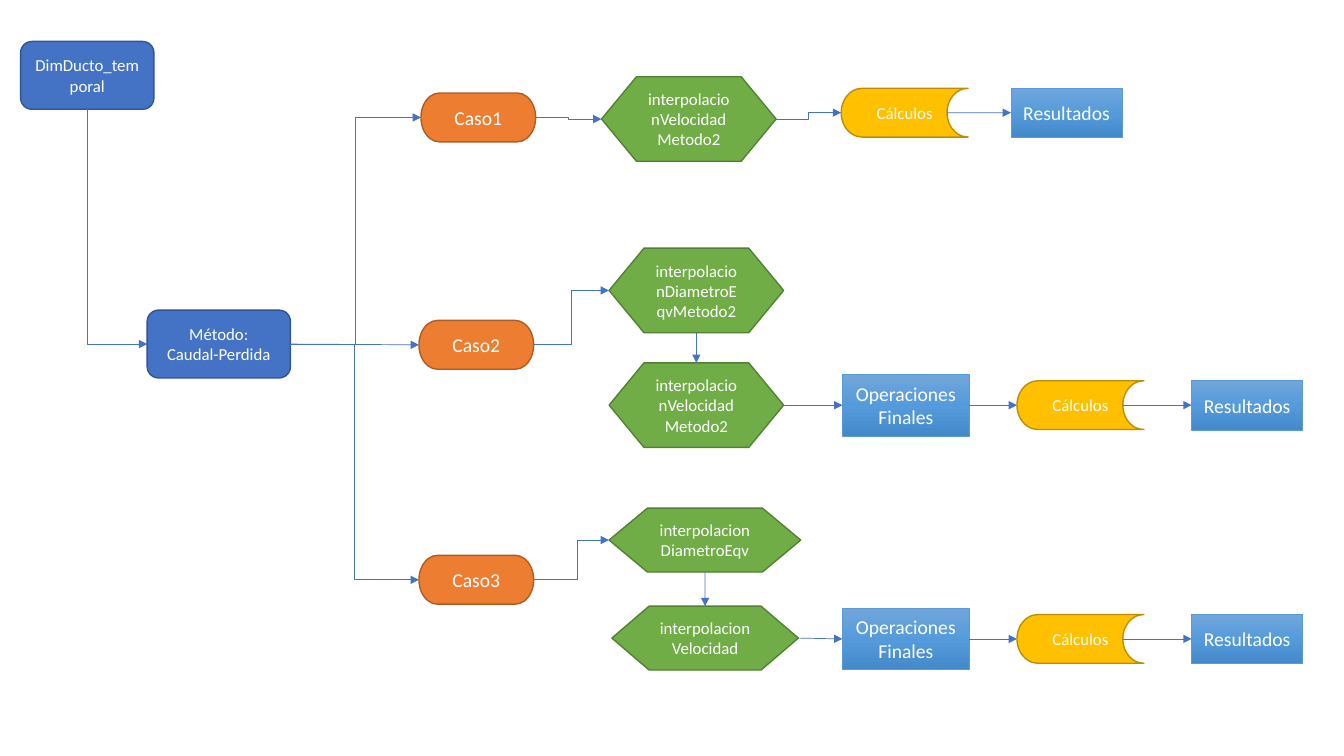
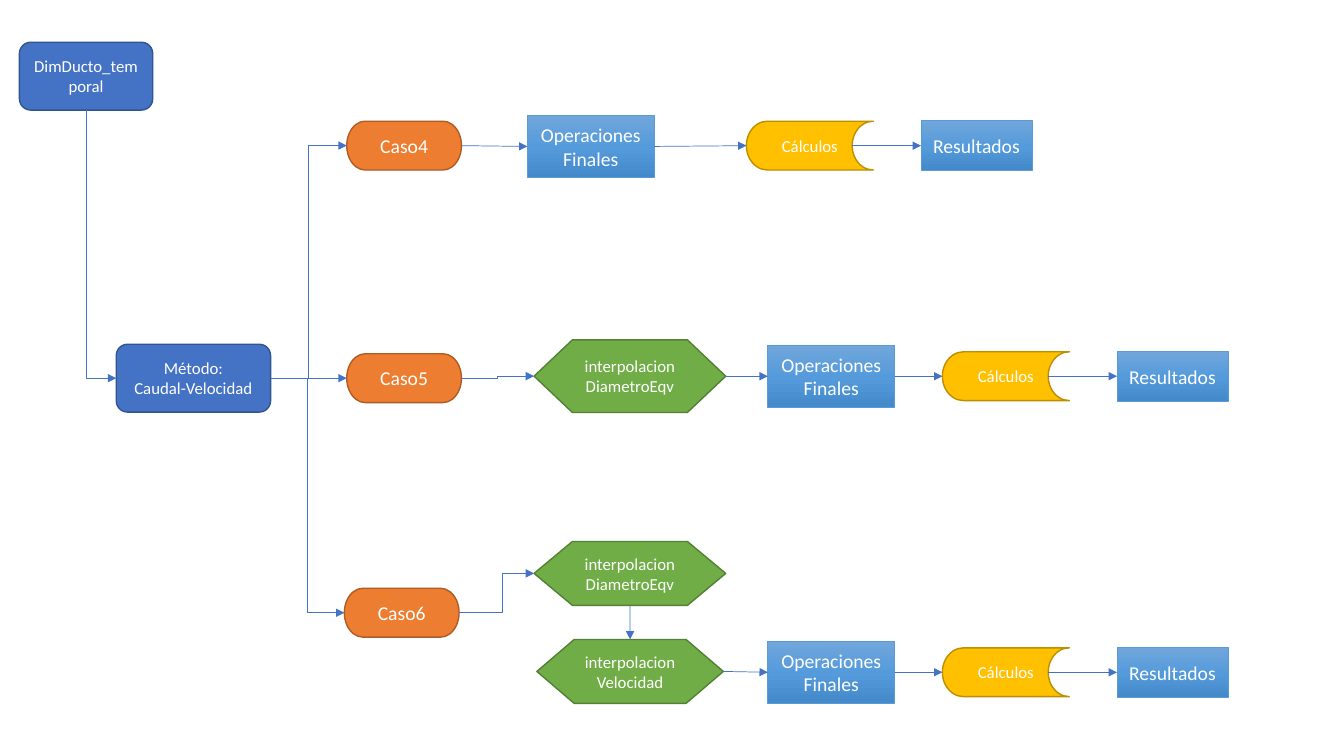
from copy import deepcopy
from dataclasses import dataclass
from typing import Optional

from lxml import etree
from pptx import Presentation
from pptx import util as u
from pptx.dml.color import RGBColor
from pptx.enum import shapes, text
from pptx.oxml import ns

FONT = "Calibri"
WHITE = "FFFFFF"
ARROW_BLUE = "4472C4"
TOP, LEFT, BOTTOM, RIGHT = range(4)  # connection sites
STEP_PITCH = 4.4  # cm between the closing steps of a row


@dataclass(frozen=True)
class Style:
    preset: shapes.MSO_SHAPE
    fills: tuple[str, ...]  # several colours make a vertical gradient
    border: str
    border_pt: float
    text_pt: int
    width: float
    height: float
    exit_share: float = 1.0  # where the right-hand site lies across the width


START = Style(shapes.MSO_SHAPE.FLOWCHART_ALTERNATE_PROCESS, ("4472C4",), "325491", 1, 12, 3.36, 1.71)
CASE = Style(shapes.MSO_SHAPE.FLOWCHART_TERMINATOR, ("ED7D31",), "AF5C24", 1, 14, 2.89, 1.23)
INTERPOLATION = Style(shapes.MSO_SHAPE.FLOWCHART_PREPARATION, ("70AD47",), "538035", 1, 12, 4.4, 2.13)
CALCULATION = Style(shapes.MSO_SHAPE.FLOWCHART_STORED_DATA, ("FFC000",), "BD8E00", 1, 12, 3.2, 1.23, 5 / 6)
PROCESS = Style(shapes.MSO_SHAPE.FLOWCHART_PROCESS, ("71A6DB", "559BDB", "448ACA"), "5B9BD5", 0.5, 14, 3.2, 1.56)


@dataclass(frozen=True)
class Node:
    """A step of the flow, placed by its left edge and middle height in cm."""
    label: str
    style: Style
    left: float
    middle: float
    width: Optional[float] = None
    height: Optional[float] = None
    bend: float = 0.5  # where an incoming elbow turns

    @property
    def size(self) -> tuple[float, float]:
        return self.width or self.style.width, self.height or self.style.height

    def site(self, side: int) -> tuple[float, float]:
        width, height = self.size
        center = self.left + width / 2
        return {
            TOP: (center, self.middle - height / 2),
            LEFT: (self.left, self.middle),
            BOTTOM: (center, self.middle + height / 2),
            RIGHT: (self.left + width * self.style.exit_share, self.middle),
        }[side]


@dataclass(frozen=True)
class Flow:
    start: Node
    method: Node
    cases: tuple[tuple[Node, ...], ...]


def closing(left: float, middle: float, pitch: float = STEP_PITCH) -> tuple[Node, ...]:
    return (Node("Cálculos", CALCULATION, left, middle),
            Node("Resultados", PROCESS, left + pitch, middle, 2.8, 1.25))


def operations(left: float, middle: float) -> Node:
    return Node("OperacionesFinales", PROCESS, left, middle)


def full_closing(left: float, middle: float) -> tuple[Node, ...]:
    return operations(left, middle), *closing(left + STEP_PITCH, middle)


def interpolation_pair(left: float, middle: float) -> tuple[Node, ...]:
    return (Node("interpolacionDiametroEqv", INTERPOLATION, left, middle, 4.83, 1.61, 0.584),
            Node("interpolacionVelocidad", INTERPOLATION, left + 0.07, middle + 2.47, 4.7, 1.61))


FLOWS = (
    Flow(
        Node("DimDucto_temporal", START, 0.52, 1.9),
        Node("Método:\nCaudal-Perdida", START, 3.71, 8.67, 3.61),
        (
            (Node("Caso1", CASE, 10.61, 2.96),
             Node("interpolacionVelocidadMetodo2", INTERPOLATION, 15.16, 3.0 - 0.03 + 0.03),
             *closing(21.2, 2.84, 4.28)),
            (Node("Caso2", CASE, 10.56, 8.69),
             Node("interpolacionDiametroEqvMetodo2", INTERPOLATION, 15.35, 7.32),
             Node("interpolacionVelocidadMetodo2", INTERPOLATION, 15.35, 10.21),
             *full_closing(21.23, 10.21)),
            (Node("Caso3", CASE, 10.56, 14.61),
             *interpolation_pair(15.35, 13.61),
             *full_closing(21.23, 16.1)),
        ),
    ),
    Flow(
        Node("DimDucto_temporal", START, 0.49, 1.92),
        Node("Método:\nCaudal-Velocidad", START, 2.93, 9.53, 3.89),
        (
            (Node("Caso4", CASE, 8.74, 3.67),
             operations(13.29, 3.69),
             *closing(18.81, 3.67)),
            (Node("Caso5", CASE, 8.74, 9.53),
             Node("interpolacionDiametroEqv", INTERPOLATION, 13.46, 9.48, 4.83, 1.83),
             *full_closing(19.35, 9.48)),
            (Node("Caso6", CASE, 8.68, 15.44),
             *interpolation_pair(13.46, 14.45),
             *full_closing(19.35, 16.94)),
        ),
    ),
)


def rgb(color: str) -> RGBColor:
    return RGBColor.from_string(color)


def write(frame, content: str, *, size: int, color: str = WHITE,
          align=text.PP_ALIGN.CENTER, anchor=text.MSO_ANCHOR.MIDDLE) -> None:
    frame.word_wrap = True
    frame.vertical_anchor = anchor
    for index, line in enumerate(content.split("\n")):
        paragraph = frame.add_paragraph() if index else frame.paragraphs[0]
        paragraph.alignment = align
        run = paragraph.add_run()
        run.text = line
        run.font.name = FONT
        run.font.size = u.Pt(size)
        run.font.color.rgb = rgb(color)


def paint(shape, colors: tuple[str, ...]) -> None:
    if len(colors) == 1:
        shape.fill.solid()
        shape.fill.fore_color.rgb = rgb(colors[0])
        return
    shape.fill.gradient()
    shape.fill.gradient_angle = 270
    stop_list = shape._element.spPr.find(".//" + ns.qn("a:gsLst"))
    while len(stop_list) < len(colors):
        stop_list.append(deepcopy(stop_list[0]))
    for index, (stop, color) in enumerate(zip(shape.fill.gradient_stops, colors)):
        stop.position = index / (len(colors) - 1)
        stop.color.rgb = rgb(color)


def draw_node(slide, node: Node):
    width, height = node.size
    shape = slide.shapes.add_shape(
        node.style.preset, u.Cm(node.left), u.Cm(node.middle - height / 2), u.Cm(width), u.Cm(height))
    shape.shadow.inherit = False
    paint(shape, node.style.fills)
    shape.line.color.rgb = rgb(node.style.border)
    shape.line.width = u.Pt(node.style.border_pt)
    write(shape.text_frame, node.label, size=node.style.text_pt)
    return shape


def turn_down_then_right(arrow, begin: tuple[float, float], end: tuple[float, float]) -> None:
    """Make the arrow a single-corner elbow that leaves downwards."""
    across, down = end[0] - begin[0], end[1] - begin[1]
    arrow.left = u.Cm((begin[0] + end[0] - down) / 2)
    arrow.top = u.Cm((begin[1] + end[1] - across) / 2)
    arrow.width, arrow.height = u.Cm(down), u.Cm(across)
    properties = arrow._element.spPr
    properties.find(ns.qn("a:prstGeom")).set("prst", "bentConnector2")
    frame = properties.find(ns.qn("a:xfrm"))
    frame.set("rot", "16200000")
    frame.set("flipH", "1")


def draw_arrow(slide, source: Node, target: Node, drawn: dict, *, corner: bool = False) -> None:
    stacked = abs(source.left - target.left) < 1
    exit_side = BOTTOM if stacked or corner else RIGHT
    entry_side = TOP if stacked else LEFT
    begin, end = source.site(exit_side), target.site(entry_side)
    level = abs(begin[1] - end[1]) < 0.035  # smaller offsets than this need no elbow
    straight = not corner and (stacked or level)
    kind = shapes.MSO_CONNECTOR.STRAIGHT if straight else shapes.MSO_CONNECTOR.ELBOW
    arrow = slide.shapes.add_connector(kind, *(u.Cm(value) for value in (*begin, *end)))
    arrow.begin_connect(drawn[source], exit_side)
    arrow.end_connect(drawn[target], entry_side)
    arrow.begin_x = u.Cm(begin[0])
    if corner:
        turn_down_then_right(arrow, begin, end)
    arrow.line.color.rgb = rgb(ARROW_BLUE)
    arrow.line.width = u.Pt(0.5)
    # Arrowhead, elbow position and no shadow
    properties = arrow._element.spPr
    etree.SubElement(properties.find(ns.qn("a:ln")), ns.qn("a:tailEnd"), type="triangle")
    etree.SubElement(properties, ns.qn("a:effectLst"))
    if not straight and target.bend != 0.5:
        adjustments = properties.find(".//" + ns.qn("a:avLst"))
        etree.SubElement(adjustments, ns.qn("a:gd"), name="adj1", fmla=f"val {round(target.bend * 100000)}")


def draw_flow(slide, flow: Flow) -> None:
    steps = [flow.start, flow.method, *(node for row in flow.cases for node in row)]
    drawn = {node: draw_node(slide, node) for node in steps}
    draw_arrow(slide, flow.start, flow.method, drawn, corner=True)
    for row in flow.cases:
        for source, target in zip((flow.method, *row), row):
            draw_arrow(slide, source, target, drawn)


def main() -> None:
    deck = Presentation()
    deck.slide_width, deck.slide_height = u.Cm(33.87), u.Cm(19.05)
    blank = deck.slide_layouts[6]
    for flow in FLOWS:
        draw_flow(deck.slides.add_slide(blank), flow)
    deck.save("out.pptx")


if __name__ == "__main__":
    main()
